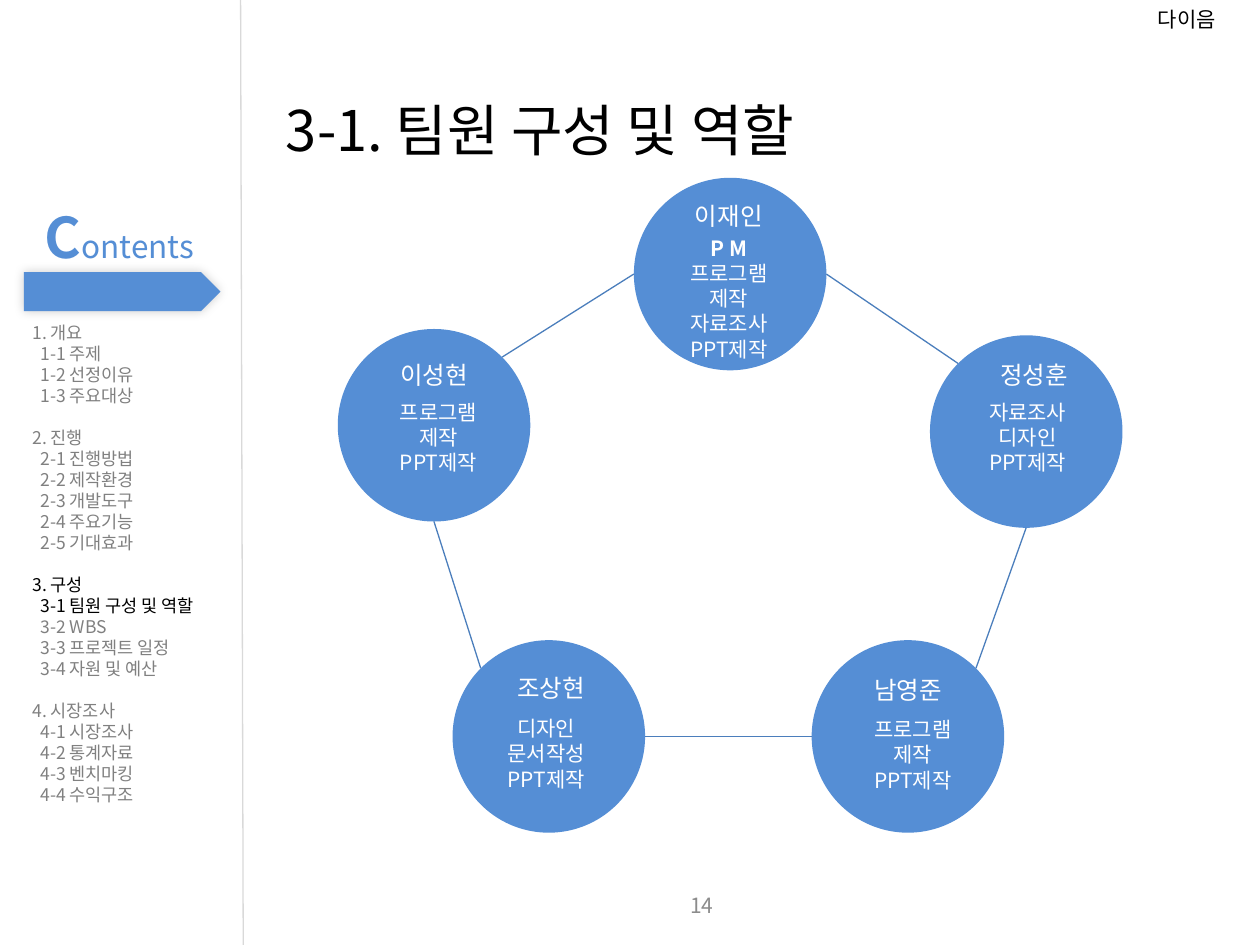
from dataclasses import dataclass
from math import cos, radians, sin

from lxml.etree import SubElement
from pptx import Presentation
from pptx.dml.color import RGBColor
from pptx.enum.shapes import MSO_CONNECTOR, MSO_SHAPE
from pptx.enum.text import MSO_ANCHOR, PP_ALIGN
from pptx.oxml.ns import qn
from pptx.util import Pt

"""Build the team roles slide with its contents sidebar."""

FONT = "Noto Sans CJK KR"
BLUE, WHITE, BLACK, GRAY = "558ED5", "FFFFFF", "000000", "808080"
SIZE = 110


@dataclass
class Run:
    text: str
    size: float
    color: str
    bold: bool = False


@dataclass
class Member:
    name: str
    x: float
    y: float
    name_x: float
    name_y: float
    role_x: float
    role_y: float
    roles: list[str]

    def rim(self, angle: int) -> tuple[float, float]:
        turn = radians(angle)
        return self.x + SIZE / 2 * cos(turn), self.y + SIZE / 2 * sin(turn)


@dataclass
class Part:
    head: str
    items: list[str]


TEAM = [
    Member("이재인", 417.2, 156.6, 416.5, 111.6, 416.5, 131,
           ["P M", "프로그램", "제작", "자료조사", "PPT제작"]),
    Member("정성훈", 586.4, 246.6, 590.8, 202.3, 587.2, 224.6,
           ["자료조사", "디자인", "PPT제작"]),
    Member("남영준", 518.8, 420.8, 518.8, 382.3, 521.6, 406.1,
           ["프로그램", "제작", "PPT제작"]),
    Member("조상현", 313.6, 420.8, 315, 380.9, 312.1, 405.4,
           ["디자인", "문서작성", "PPT제작"]),
    Member("이성현", 248, 243, 248, 202.3, 250.6, 224.6,
           ["프로그램", "제작", "PPT제작"]),
]
LINKS = [(0, 225), (90, 315), (180, 0), (225, 90), (315, 180)]
PARTS = [
    Part("1. 개요", ["1-1 주제", "1-2 선정이유", "1-3 주요대상"]),
    Part("2. 진행", ["2-1 진행방법", "2-2 제작환경", "2-3 개발도구",
                   "2-4 주요기능", "2-5 기대효과"]),
    Part("3. 구성", ["3-1 팀원 구성 및 역할", "3-2 WBS", "3-3 프로젝트 일정",
                   "3-4 자원 및 예산"]),
    Part("4. 시장조사", ["4-1 시장조사", "4-2 통계자료", "4-3 벤치마킹",
                     "4-4 수익구조"]),
]
ACTIVE = ("3. 구성", "3-1 팀원 구성 및 역할")


def rgb(code: str) -> RGBColor:
    return RGBColor.from_string(code)


def add_line(para, runs: list[Run], align=PP_ALIGN.LEFT) -> None:
    para.alignment = align
    para.line_spacing = Pt(1.2 * max(run.size for run in runs))
    for item in runs:
        run = para.add_run()
        run.text = item.text
        font = run.font
        font.name, font.size, font.bold = FONT, Pt(item.size), item.bold
        font.color.rgb = rgb(item.color)
        SubElement(run._r.get_or_add_rPr(), qn("a:ea"), typeface=FONT)


def fill_text(frame, lines: list[list[Run]], align=PP_ALIGN.LEFT) -> None:
    for row, runs in enumerate(lines):
        para = frame.add_paragraph() if row else frame.paragraphs[0]
        add_line(para, runs, align)


def add_box(slide, x, y, wide, high, lines, align=PP_ALIGN.LEFT, wrap=True):
    box = slide.shapes.add_textbox(Pt(x), Pt(y), Pt(wide), Pt(high))
    box.text_frame.word_wrap = wrap
    fill_text(box.text_frame, lines, align)
    return box.text_frame


def add_solid(slide, kind, x, y, wide, high):
    shape = slide.shapes.add_shape(kind, Pt(x), Pt(y), Pt(wide), Pt(high))
    shape.shadow.inherit = False
    shape.fill.solid()
    shape.fill.fore_color.rgb = rgb(BLUE)
    shape.line.fill.background()
    return shape


def add_link(slide, start, end, color: str) -> None:
    link = slide.shapes.add_connector(
        MSO_CONNECTOR.STRAIGHT, *(Pt(n) for n in (*start, *end)))
    link.line.color.rgb = rgb(color)
    link.line.width = Pt(0.75)
    SubElement(link._element.spPr, qn("a:effectLst"))


def add_glow(shape) -> None:
    glow = SubElement(shape._element.spPr.find(qn("a:effectLst")),
                      qn("a:outerShdw"), blurRad=str(Pt(6)), dist="0",
                      dir="18900000", rotWithShape="0")
    tint = SubElement(glow, qn("a:srgbClr"), val=BLACK)
    SubElement(tint, qn("a:alpha"), val="20000")


def add_team(slide) -> None:
    for one in TEAM:
        add_solid(slide, MSO_SHAPE.OVAL, one.x - SIZE / 2, one.y - SIZE / 2,
                  SIZE, SIZE)
        add_box(slide, one.name_x - 28.5, one.name_y, 57, 24.5,
                [[Run(one.name, 14, WHITE)]], PP_ALIGN.CENTER, False)
        lines = [[Run(role, 12, WHITE, role == "P M")] for role in one.roles]
        add_box(slide, one.role_x - 37, one.role_y, 74,
                14.4 * len(lines) + 7.2, lines, PP_ALIGN.CENTER)
    for spot, (start, end) in enumerate(LINKS):
        after = TEAM[(spot + 1) % len(TEAM)]
        add_link(slide, TEAM[spot].rim(start), after.rim(end), "4B7EBC")


def add_menu(slide) -> None:
    add_link(slide, (139, 540), (137.5, 0), "D9D9D9")
    add_glow(add_solid(slide, MSO_SHAPE.PENTAGON, 13.7, 155.5, 112.3, 22.3))
    add_box(slide, 10, 112.3, 108, 46,
            [[Run("C", 32, BLUE, True), Run("ontents", 18, BLUE)]],
            PP_ALIGN.RIGHT, False)
    rows = [text for part in PARTS for text in (part.head, *part.items)]
    lines = [[Run(text, 10, BLACK if text in ACTIVE else GRAY)]
             for text in rows]
    frame = add_box(slide, 11.5, 180.7, 163.4, 298, lines)
    heads = [part.head for part in PARTS]
    for row, (text, para) in enumerate(zip(rows, frame.paragraphs)):
        if text not in heads:
            para._p.get_or_add_pPr().set("marL", str(Pt(4.5)))
        elif row:
            para.space_before = Pt(12)


def main() -> None:
    deck = Presentation()
    deck.slide_width, deck.slide_height = Pt(720), Pt(540)
    slide = deck.slides.add_slide(deck.slide_layouts[5])
    title = slide.shapes.title
    title.left, title.top = Pt(156.2), Pt(51)
    title.width, title.height = Pt(395.3), Pt(46)
    title.text_frame.vertical_anchor = MSO_ANCHOR.TOP
    fill_text(title.text_frame, [[Run("3-1. 팀원 구성 및 역할", 32, BLACK)]])
    add_box(slide, 654.5, 0, 82, 21.6, [[Run("다이음", 12, BLACK)]])
    add_team(slide)
    add_menu(slide)
    page = add_box(slide, 247, 502.6, 167.8, 28.8,
                   [[Run("14", 12, "8C8C8C")]], PP_ALIGN.RIGHT)
    page.vertical_anchor = MSO_ANCHOR.MIDDLE
    deck.save("out.pptx")


if __name__ == "__main__":
    main()
